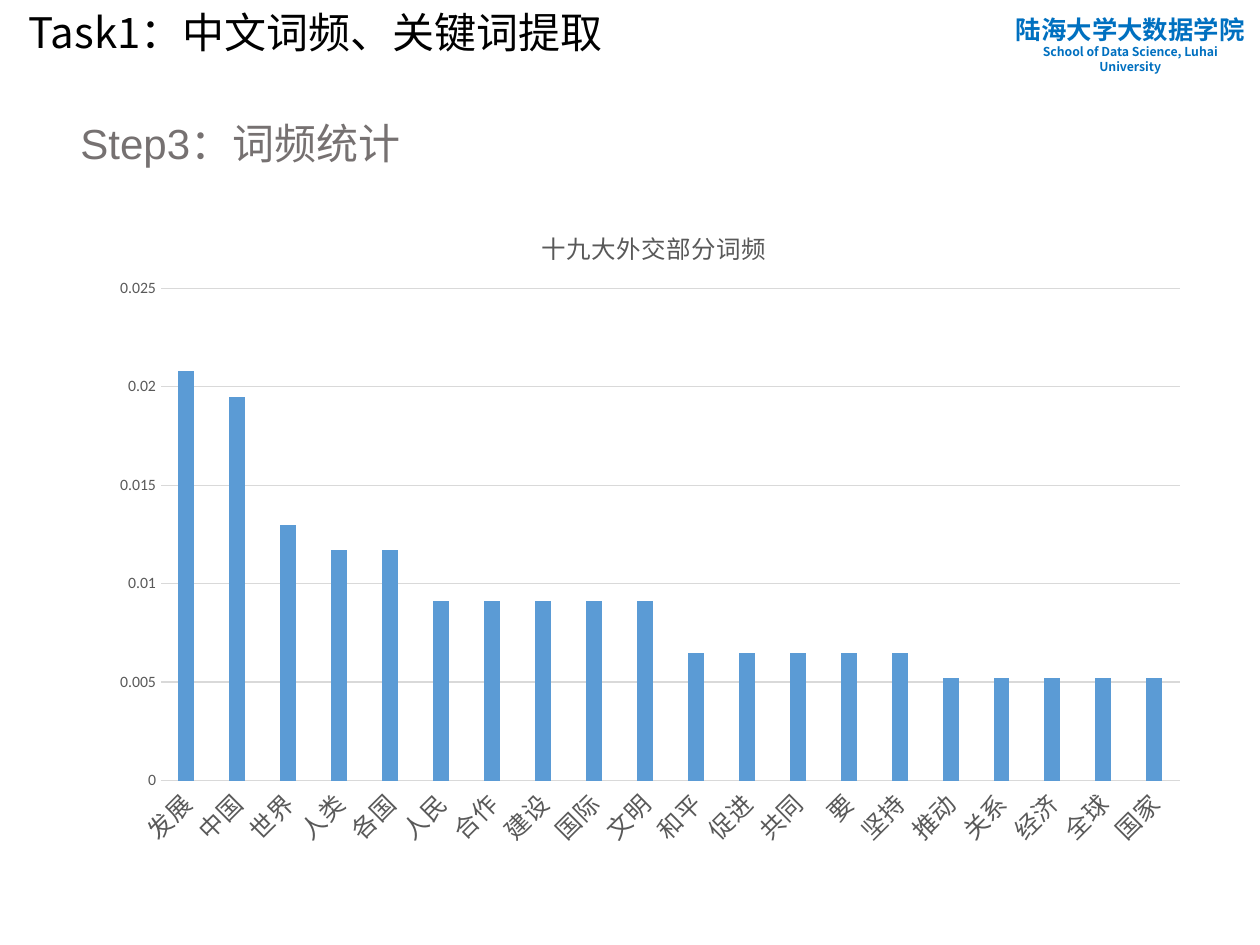
from lxml import etree
from pptx import Presentation
from pptx.chart.data import CategoryChartData
from pptx.dml.color import RGBColor
from pptx.enum.chart import XL_CHART_TYPE, XL_TICK_MARK
from pptx.enum.text import MSO_ANCHOR, MSO_AUTO_SIZE, PP_ALIGN
from pptx.oxml.ns import qn
from pptx.util import Pt

COLUMNS = XL_CHART_TYPE.COLUMN_CLUSTERED
NO_TICK = XL_TICK_MARK.NONE
TOP, MIDDLE = MSO_ANCHOR.TOP, MSO_ANCHOR.MIDDLE
NO_FIT = MSO_AUTO_SIZE.NONE
LEFT, CENTER = PP_ALIGN.LEFT, PP_ALIGN.CENTER

COLORS = {"school": "0070C0", "title": "000000", "step": "767171",
          "label": "595959", "grid": "D9D9D9", "bar": "5B9BD5"}
CJK = "Noto Sans CJK SC"

TITLE = "Task1：中文词频、关键词提取"
STEP = "Step3：词频统计"
SCHOOL = [("陆海大学大数据学院", 14.5), ("School of Data Science, Luhai University", 7)]
CHART_TITLE = "十九大外交部分词频"
FREQUENCIES = [
    (0.0208, ["发展"]),
    (0.0195, ["中国"]),
    (0.013, ["世界"]),
    (0.0117, ["人类", "各国"]),
    (0.0091, ["人民", "合作", "建设", "国际", "文明"]),
    (0.0065, ["和平", "促进", "共同", "要", "坚持"]),
    (0.0052, ["推动", "关系", "经济", "全球", "国家"]),
]

TITLE_AREA = (9.36, 0.72, 529.92, 38.16)
SCHOOL_AREA = (573.12, 4.32, 145.44, 33.12)
STEP_AREA = (38.88, 57.6, 648, 456.48)
CHART_AREA = (54, 111.6, 632.88, 380.16)
PLOT_LAYOUT = {"layoutTarget": "inner", "xMode": "edge", "yMode": "edge",
               "x": 0.06, "y": 0.14, "w": 0.92, "h": 0.74}
TITLE_LAYOUT = {"xMode": "edge", "yMode": "edge", "x": 0.4, "y": 0.04}


def color(name):
    return RGBColor.from_string(COLORS[name])


def format_font(font, size, name, tint, bold=False):
    values = {"size": Pt(size), "name": name, "bold": bold}
    for key, value in values.items():
        setattr(font, key, value)
    font.color.rgb = color(tint)


def write(frame, lines, name, tint, align=LEFT, spacing=1.0, bold=False, anchor=TOP):
    settings = {"word_wrap": True, "auto_size": NO_FIT, "vertical_anchor": anchor}
    for key, value in settings.items():
        setattr(frame, key, value)
    for index, (text, size) in enumerate(lines):
        para = frame.add_paragraph() if index else frame.paragraphs[0]
        para.alignment, para.line_spacing = align, spacing
        span = para.add_run()
        span.text = text
        format_font(span.font, size, name, tint, bold)
        latin = span.font._element.find(qn("a:latin"))
        east_asian = etree.Element(qn("a:ea"), typeface=CJK)
        latin.addnext(east_asian)


def place_manually(parent, after, values):
    for old in parent.findall(qn("c:layout")):
        parent.remove(old)
    layout = etree.Element(qn("c:layout"))
    manual = etree.SubElement(layout, qn("c:manualLayout"))
    for key, value in values.items():
        etree.SubElement(manual, qn(f"c:{key}"), val=str(value))
    if after is None:
        parent.insert(0, layout)
    else:
        after.addnext(layout)


def add_frequency_chart(slide):
    data = CategoryChartData()
    data.categories = [word for _, words in FREQUENCIES for word in words]
    data.add_series("Series 1", [value for value, words in FREQUENCIES for _ in words])
    chart = slide.shapes.add_chart(COLUMNS, *map(Pt, CHART_AREA), data).chart
    format_font(chart.font, 10, "Calibri", "title")
    chart.has_legend = False
    chart.has_title = True
    heading = chart.chart_title
    write(heading.text_frame, [(CHART_TITLE, 14)], "Calibri", "label", CENTER)
    heading.include_in_layout = False
    place_manually(heading._element, heading._element.find(qn("c:tx")), TITLE_LAYOUT)

    plot = chart.plots[0]
    plot.gap_width, plot.overlap, plot.vary_by_categories = 219, -27, False
    bars = plot.series[0].format.fill
    bars.solid()
    bars.fore_color.rgb = color("bar")
    place_manually(chart._chartSpace.chart.plotArea, None, PLOT_LAYOUT)

    words, values = chart.category_axis, chart.value_axis
    for axis, size in ((words, 14), (values, 9)):
        axis.major_tick_mark = axis.minor_tick_mark = NO_TICK
        format_font(axis.tick_labels.font, size, "Calibri", "label")
    words._element.find(qn("c:txPr")).find(qn("a:bodyPr")).set("rot", "-2700000")
    values.minimum_scale, values.maximum_scale, values.major_unit = 0, 0.025, 0.005
    values.tick_labels.number_format = "General"
    values.tick_labels.number_format_is_linked = False
    values.format.line.fill.background()
    for line in (words.format.line, values.major_gridlines.format.line):
        line.color.rgb = color("grid")
        line.width = Pt(0.75)


def main():
    deck = Presentation()
    deck.slide_width, deck.slide_height = Pt(720), Pt(540)
    slide = deck.slides.add_slide(deck.slide_layouts[5])
    title = slide.shapes.title
    title.left, title.top, title.width, title.height = map(Pt, TITLE_AREA)
    write(title.text_frame, [(TITLE, 24)], CJK, "title", spacing=0.9, anchor=MIDDLE)
    school = slide.shapes.add_textbox(*map(Pt, SCHOOL_AREA))
    write(school.text_frame, SCHOOL, CJK, "school", CENTER, bold=True)
    step = slide.shapes.add_textbox(*map(Pt, STEP_AREA))
    write(step.text_frame, [(STEP, 24)], "Arial", "step", spacing=1.2)
    add_frequency_chart(slide)
    deck.save("out.pptx")


if __name__ == "__main__":
    main()
